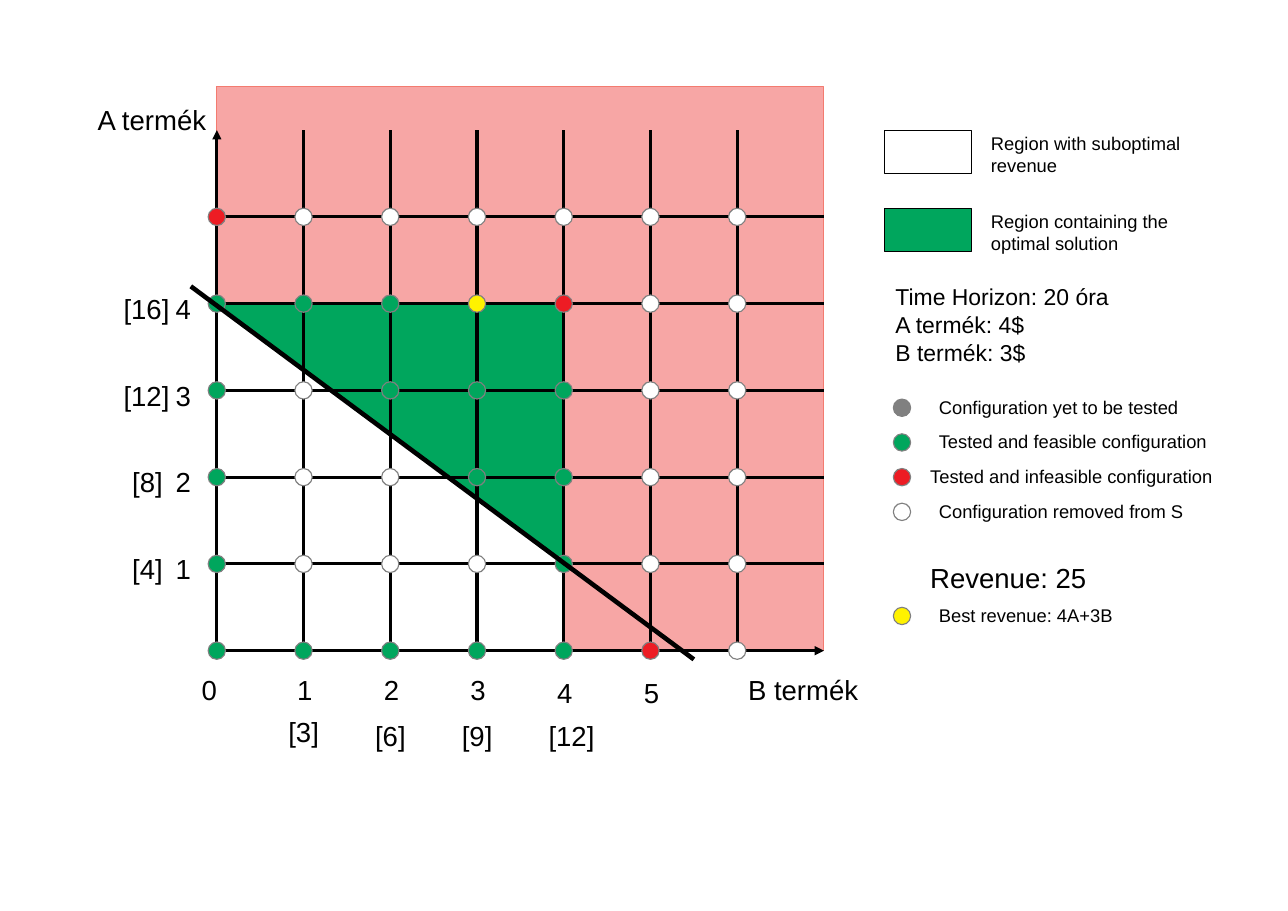
from lxml import etree
from pptx import Presentation, util as u
from pptx.dml.color import RGBColor
from pptx.enum import shapes, text
from pptx.oxml.ns import qn

BLACK = RGBColor(0x00, 0x00, 0x00)
WHITE = RGBColor(0xFF, 0xFF, 0xFF)
GREEN = RGBColor(0x00, 0xA6, 0x5D)
RED = RGBColor(0xED, 0x1C, 0x24)
YELLOW = RGBColor(0xFF, 0xF2, 0x00)
GRAY = RGBColor(0x80, 0x80, 0x80)
ROSE = RGBColor(0xF0, 0x4E, 0x4D)
ROSE_EDGE = RGBColor(0xF3, 0x7B, 0x70)
BLUE_EDGE = RGBColor(0x34, 0x65, 0xA4)

RECTANGLE = shapes.MSO_SHAPE.RECTANGLE
STEP = 2
DOT = 0.4
DOT_COLORS = {"W": WHITE, "G": GREEN, "R": RED, "Y": YELLOW}
DOT_ROWS = ["RWWWWWW", "GGGYRWW", "GWGGGWW", "GWWGGWW", "GWWWGWW", "GGGGGRW"]


def add_area(slide, kind, left, top, width, height, fill, edge, opacity=100):
    """Add a filled preset shape with a hairline edge."""
    shape = slide.shapes.add_shape(kind, u.Cm(left), u.Cm(top), u.Cm(width), u.Cm(height))
    shape.shadow.inherit = False
    shape.fill.solid()
    shape.fill.fore_color.rgb = fill
    shape.line.color.rgb = edge
    shape.line.width = u.Pt(0)
    if opacity < 100:
        color = shape.fill._xPr.find(".//" + qn("a:srgbClr"))
        etree.SubElement(color, qn("a:alpha"), val=str(opacity * 1000))
    return shape


def add_dot(slide, x, y, fill):
    """Add a configuration dot centred on a point."""
    add_area(slide, shapes.MSO_SHAPE.OVAL, x - DOT / 2, y - DOT / 2, DOT, DOT, fill, GRAY)


def add_line(slide, x1, y1, x2, y2, width=0, arrow=False):
    """Add a straight black line, with an arrowhead at its end if asked."""
    line = slide.shapes.add_connector(
        shapes.MSO_CONNECTOR.STRAIGHT, u.Cm(x1), u.Cm(y1), u.Cm(x2), u.Cm(y2))
    line.line.color.rgb = BLACK
    line.line.width = u.Pt(width)
    if arrow:
        etree.SubElement(line.line._get_or_add_ln(), qn("a:tailEnd"), type="triangle")
    etree.SubElement(line._element.spPr, qn("a:effectLst"))


def add_label(slide, left, top, lines, size=18, width=3.4, height=0.97):
    """Add a left-aligned text box with one paragraph per line."""
    box = slide.shapes.add_textbox(u.Cm(left), u.Cm(top), u.Cm(width), u.Cm(height))
    frame = box.text_frame
    frame.word_wrap = True
    frame.auto_size = text.MSO_AUTO_SIZE.NONE
    frame.text = lines
    for paragraph in frame.paragraphs:
        paragraph.font.name = "Arial"
        paragraph.font.size = u.Pt(size)
        paragraph.font.color.rgb = BLACK


def add_regions(slide, left, top, width, height):
    """Shade the optimal triangle and the infeasible regions of the plot."""
    edge, ceiling = left + 4 * STEP, top + 2.5 * STEP
    triangle = add_area(slide, shapes.MSO_SHAPE.RIGHT_TRIANGLE, left, ceiling,
                        4 * STEP, 3 * STEP, GREEN, BLUE_EDGE)
    triangle.rotation = 180
    add_area(slide, RECTANGLE, edge, ceiling, left + width - edge,
             top + height - ceiling, ROSE, ROSE_EDGE, 50)
    add_area(slide, RECTANGLE, left, top, width, ceiling - top, ROSE, ROSE_EDGE, 50)


def add_grid(slide, left, top, width, height):
    """Draw axes, grid lines, configuration dots and the revenue line."""
    right, bottom = left + width, top + height
    for column in range(7):
        x = left + column * STEP
        add_line(slide, x, bottom, x, top + 1, arrow=column == 0)
    for row in range(6):
        y = bottom - row * STEP
        add_line(slide, left, y, right, y, arrow=row == 0)
    for row, codes in enumerate(reversed(DOT_ROWS)):
        for column, code in enumerate(codes):
            add_dot(slide, left + column * STEP, bottom - row * STEP, DOT_COLORS[code])
    add_line(slide, left - 0.6, bottom - 8.4, left + 11, bottom + 0.2, width=3)


def add_axis_labels(slide, left, top, width, height):
    """Label both axes with quantities and revenues in brackets."""
    bottom = top + height
    add_label(slide, left - 3, top + 0.24, "A termék")
    add_label(slide, left + width - 2, bottom + 0.4, "B termék")
    add_label(slide, left - 0.6, bottom + 0.4, "0", width=1)
    for count in range(1, 6):
        drop = 0.4 if count < 4 else 0.45
        add_label(slide, left + count * STEP - 0.4, bottom + drop, str(count), width=1)
    for count in range(1, 5):
        x, y = left + count * STEP, bottom - count * STEP
        drop = 1.35 if count == 1 else 1.45
        add_label(slide, x - 0.6, bottom + drop, f"[{3 * count}]", width=1.8)
        add_label(slide, left - 1.2, y - 0.4, str(count), width=1)
        indent = 2.2 if count < 3 else 2.4
        add_label(slide, left - indent, y - 0.4, f"[{4 * count}]", width=1.8)


def add_legend(slide, left, top):
    """Place region swatches, the problem data and the dot key."""
    swatches = [(WHITE, "Region with suboptimal revenue"),
                (GREEN, "Region containing the optimal solution")]
    for index, (fill, caption) in enumerate(swatches):
        y = top + 1.8 * index
        add_area(slide, RECTANGLE, left, y, 2, 1, fill, BLACK)
        add_label(slide, left + 2.2, y - 0.08, caption, 12, 5.2, 1.27)
    add_label(slide, left, top + 3.4, "Time Horizon: 20 óra\nA termék: 4$\nB termék: 3$",
              15, 6.4, 2)
    keys = [(6.4, 1, GRAY, "Configuration yet to be tested"),
            (7.2, 1, GREEN, "Tested and feasible configuration"),
            (8, 0.8, RED, "Tested and infeasible configuration"),
            (8.8, 1, WHITE, "Configuration removed from S"),
            (11.2, 1, YELLOW, "Best revenue: 4A+3B")]
    for offset, indent, fill, caption in keys:
        add_dot(slide, left + 0.4, top + offset, fill)
        add_label(slide, left + indent, top + offset - 0.4, caption, 12, 7.4, 0.8)
    add_label(slide, left + 0.8, top + 9.8, "Revenue: 25", width=5.4)


def main():
    """Build and save the slide."""
    presentation = Presentation()
    presentation.slide_width = u.Cm(29.7)
    presentation.slide_height = u.Cm(21)
    slide = presentation.slides.add_slide(presentation.slide_layouts[6])
    plot = (5, 2, 14, 13)
    add_regions(slide, *plot)
    add_grid(slide, *plot)
    add_axis_labels(slide, *plot)
    add_legend(slide, 20.4, 3)
    presentation.save("out.pptx")


if __name__ == "__main__":
    main()
